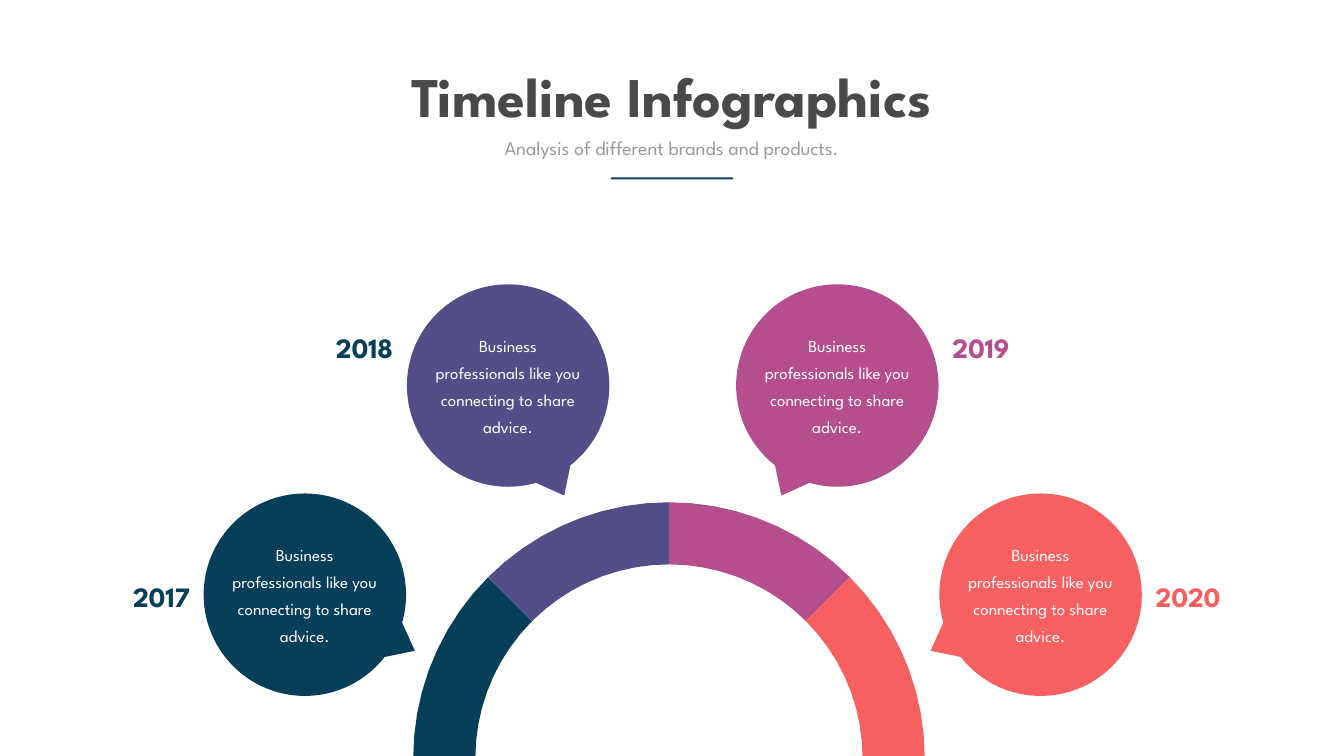
from math import cos, radians, sin

from pptx import Presentation
from pptx.dml.color import RGBColor
from pptx.enum.shapes import MSO_SHAPE
from pptx.enum.text import MSO_ANCHOR, MSO_AUTO_SIZE, PP_ALIGN
from pptx.util import Inches, Pt

RECTANGLE, CALLOUT = MSO_SHAPE.RECTANGLE, MSO_SHAPE.OVAL_CALLOUT
TOP, NO_FIT = MSO_ANCHOR.TOP, MSO_AUTO_SIZE.NONE
LEFT, CENTER, RIGHT = PP_ALIGN.LEFT, PP_ALIGN.CENTER, PP_ALIGN.RIGHT

FONT = "League Spartan"
NAVY = RGBColor(0x07, 0x3E, 0x59)
VIOLET = RGBColor(0x53, 0x4D, 0x88)
MAGENTA = RGBColor(0xB5, 0x4E, 0x8D)
CORAL = RGBColor(0xF7, 0x60, 0x61)
DARK = RGBColor(0x49, 0x49, 0x49)
GRAY = RGBColor(0x99, 0x99, 0x99)
WHITE = RGBColor(0xFF, 0xFF, 0xFF)

presentation = Presentation()
presentation.slide_width = Inches(26.67)
presentation.slide_height = Inches(15)
slide = presentation.slides.add_slide(presentation.slide_layouts[0])

# Grid of 160 columns by 90 rows with square cells
CELL = presentation.slide_height / 90


def write(shape, box, text, size, color, align, bold=False):
    """Place a text shape on the grid and fill it with one paragraph."""
    shape.left, shape.top, shape.width, shape.height = (round(n * CELL) for n in box)
    frame = shape.text_frame
    frame.text = text
    frame.word_wrap = True
    frame.auto_size = NO_FIT
    frame.vertical_anchor = TOP
    paragraph = frame.paragraphs[0]
    paragraph.alignment = align
    paragraph.space_before = Pt(0)
    font = paragraph.font
    font.name, font.size, font.bold = FONT, Pt(size), bold
    font.color.rgb = color
    return paragraph


def paint(shape, color):
    """Give a shape a flat fill without outline or shadow."""
    shape.shadow.inherit = False
    shape.fill.solid()
    shape.fill.fore_color.rgb = color
    shape.line.fill.background()


# Heading
title = slide.shapes.title
write(title, (44.82, 7.02, 70.32, 8.7), "Timeline Infographics", 80, DARK, CENTER, True)
title.text_frame.word_wrap = False
write(slide.placeholders[1], (51.3, 15.9, 57.36, 3.42),
      "Analysis of different brands and products.", 28, GRAY, CENTER)
rule_box = (round(n * CELL) for n in (72.72, 21.12, 14.58, 0.24))
paint(slide.shapes.add_shape(RECTANGLE, *rule_box), NAVY)

# Half ring, one 45-degree segment per year
RING_X, RING_Y, OUTER, INNER = 79.65, 90.24, 30.45, 23.05
for index, color in enumerate((NAVY, VIOLET, MAGENTA, CORAL)):
    start = 180 + 45 * index
    angles = range(start, start + 46, 5)
    edge = [(OUTER, angle) for angle in angles]
    edge += [(INNER, angle) for angle in reversed(angles)]
    points = [((RING_X + radius * cos(radians(angle))) * CELL,
               (RING_Y + radius * sin(radians(angle))) * CELL)
              for radius, angle in edge]
    builder = slide.shapes.build_freeform(*points[0])
    builder.add_line_segments(points[1:], close=True)
    paint(builder.convert_to_shape(), color)

# Speech bubbles: year, center, tail angle, colors, year row offset, year side
DIAMETER, TAIL_REACH = 24.1, 0.61
YEAR_GAP, YEAR_WIDTH, YEAR_HEIGHT = 13.1, 16.26, 4.62
BUBBLES = [
    ("2017", 36.3, 70.8, 27, NAVY, NAVY, -2.16, RIGHT),
    ("2018", 60.5, 45.9, 63, VIOLET, NAVY, -6.9, RIGHT),
    ("2019", 99.7, 45.9, 117, MAGENTA, MAGENTA, -6.9, LEFT),
    ("2020", 123.9, 70.8, 153, CORAL, CORAL, -2.16, LEFT),
]
for year, x, y, tail, fill, year_color, year_offset, align in BUBBLES:
    bubble_box = (x - DIAMETER / 2, y - DIAMETER / 2, DIAMETER, DIAMETER)
    bubble = slide.shapes.add_shape(CALLOUT, *(round(n * CELL) for n in bubble_box))
    bubble.adjustments[0] = TAIL_REACH * cos(radians(tail))
    bubble.adjustments[1] = TAIL_REACH * sin(radians(tail))
    paint(bubble, fill)

    year_left = x + YEAR_GAP if align == LEFT else x - YEAR_GAP - YEAR_WIDTH
    write(slide.shapes.add_textbox(0, 0, 0, 0),
          (year_left, y + year_offset, YEAR_WIDTH, YEAR_HEIGHT),
          year, 40, year_color, align, True)

    message = write(slide.shapes.add_textbox(0, 0, 0, 0),
                    (x - 9.6, y - 7.05, 19.14, 12.72),
                    "Business professionals like you connecting to share advice.",
                    24, WHITE, CENTER)
    message.line_spacing = Pt(38.6)

presentation.save("out.pptx")
